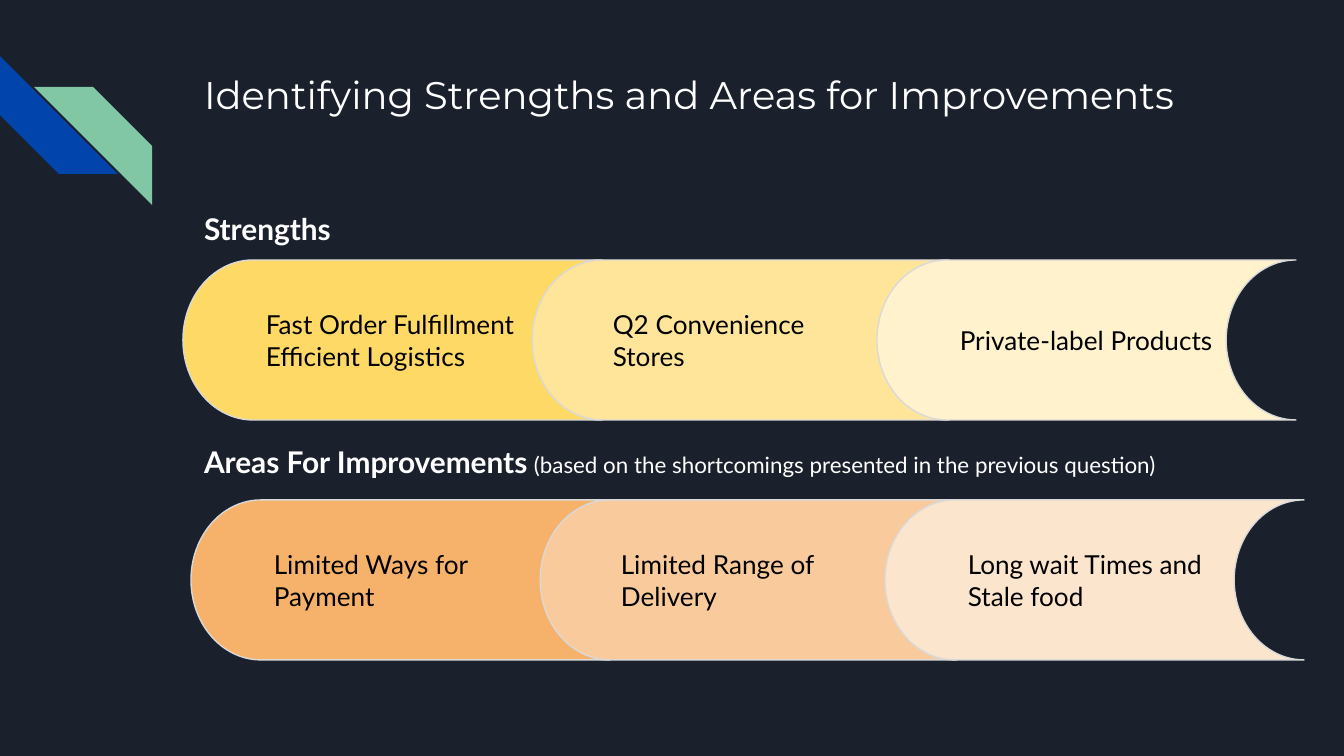
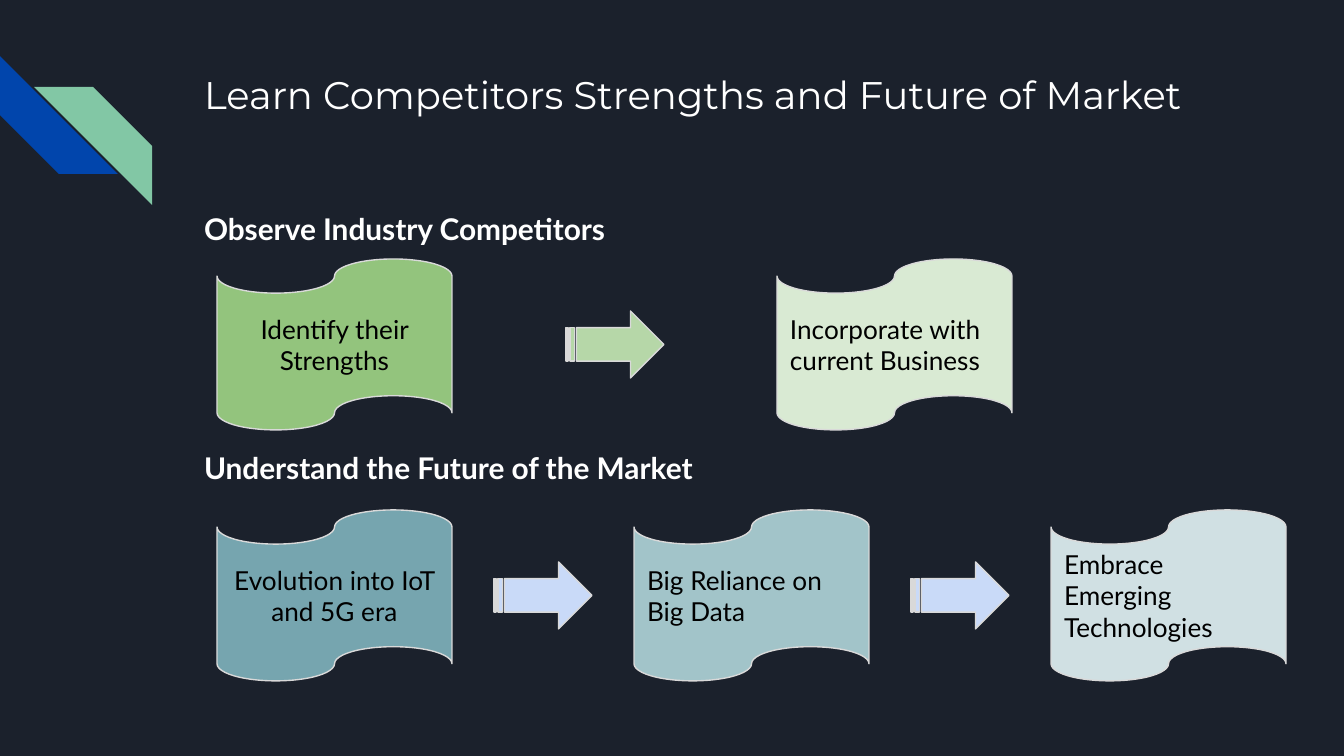
from lxml import etree
from pptx import Presentation
from pptx.dml.color import RGBColor
from pptx.enum.shapes import MSO_SHAPE
from pptx.enum.text import MSO_ANCHOR, MSO_AUTO_SIZE, PP_ALIGN
from pptx.oxml.ns import qn
from pptx.util import Emu, Pt

STRIPE = MSO_SHAPE.DIAGONAL_STRIPE
STORAGE = MSO_SHAPE.FLOWCHART_STORED_DATA
TAPE = MSO_SHAPE.FLOWCHART_PUNCHED_TAPE
ARROW = MSO_SHAPE.STRIPED_RIGHT_ARROW
TOP, MIDDLE = MSO_ANCHOR.TOP, MSO_ANCHOR.MIDDLE
LEFT, CENTER = PP_ALIGN.LEFT, PP_ALIGN.CENTER
NO_FIT = MSO_AUTO_SIZE.NONE

# Colours
NAVY = RGBColor(0x1B, 0x21, 0x2C)
BLUE = RGBColor(0x01, 0x45, 0xAC)
MINT = RGBColor(0x82, 0xC7, 0xA5)
WHITE = RGBColor(0xFF, 0xFF, 0xFF)
BLACK = RGBColor(0x00, 0x00, 0x00)
OUTLINE = RGBColor(0xD9, 0xD9, 0xD9)
YELLOWS = [RGBColor(0xFF, 0xD9, 0x66), RGBColor(0xFF, 0xE5, 0x99), RGBColor(0xFF, 0xF2, 0xCC)]
ORANGES = [RGBColor(0xF6, 0xB2, 0x6B), RGBColor(0xF9, 0xCB, 0x9C), RGBColor(0xFC, 0xE5, 0xCD)]
GREENS = [RGBColor(0x93, 0xC4, 0x7D), RGBColor(0xD9, 0xEA, 0xD3)]
TEALS = [RGBColor(0x76, 0xA5, 0xAF), RGBColor(0xA2, 0xC4, 0xC9), RGBColor(0xD0, 0xE0, 0xE3)]
GREEN_ARROW = RGBColor(0xB6, 0xD7, 0xA8)
BLUE_ARROW = RGBColor(0xC9, 0xDA, 0xF8)

TITLE_FONT, BODY_FONT = "Montserrat", "Lato"

# Sizes in px
SLIDE_W, SLIDE_H = 1344, 756
INSET = 13
STRIPE_SIZE = 118
STORAGE_W, STORAGE_H, STORAGE_STEP = 419, 160, 347
TAPE_X, TAPE_W, TAPE_H = 217, 235, 171
ARROW_W, ARROW_H = 98, 67


def px(n):
    return Emu(round(n * 914400 * 10 / SLIDE_W))


def set_frame(tf, anchor):
    tf.word_wrap = True
    tf.auto_size = NO_FIT
    tf.vertical_anchor = anchor
    tf.margin_left = tf.margin_right = tf.margin_top = tf.margin_bottom = px(INSET)


def add_run(p, text, size, color, font=BODY_FONT, bold=False):
    r = p.add_run()
    r.text = text
    r.font.size = Pt(size)
    r.font.name = font
    r.font.bold = bold
    r.font.color.rgb = color


def add_block(s, kind, x, y, w, h, fill, line=OUTLINE):
    """Preset shape with a flat fill and an optional thin outline."""
    sp = s.shapes.add_shape(kind, px(x), px(y), px(w), px(h))
    sp.shadow.inherit = False
    sp.fill.solid()
    sp.fill.fore_color.rgb = fill
    if line is None:
        sp.line.fill.background()
    else:
        sp.line.color.rgb = line
        sp.line.width = Pt(0.75)
    return sp


def add_label(sp, text, align=LEFT):
    """Centre a label vertically in a block, one paragraph a line."""
    tf = sp.text_frame
    set_frame(tf, MIDDLE)
    for i, line in enumerate(text.split("\n")):
        p = tf.add_paragraph() if i else tf.paragraphs[0]
        p.alignment = align
        add_run(p, line, 14, BLACK)


def place(sp, x, y, w, h):
    sp.left, sp.top, sp.width, sp.height = px(x), px(y), px(w), px(h)
    set_frame(sp.text_frame, TOP)


def add_slide(prs, title):
    """Slide with the corner stripes and the title."""
    s = prs.slides.add_slide(prs.slide_layouts[1])
    for x, y, fill, turn in ((0, 56, BLUE, 270), (34, 87, MINT, 90)):
        sp = add_block(s, STRIPE, x, y, STRIPE_SIZE, STRIPE_SIZE, fill, None)
        sp.rotation = turn
    place(s.shapes.title, 191, 58, 1035, 134)
    p = s.shapes.title.text_frame.paragraphs[0]
    p.alignment = LEFT
    add_run(p, title, 20.6, WHITE, TITLE_FONT)
    return s


def add_headings(s, first, second, gap, note=None):
    """Two section headings in the body, the second one gap points lower."""
    body = s.placeholders[1]
    place(body, 191, 192, 1035, 427)
    tf = body.text_frame
    for p, text, before in ((tf.paragraphs[0], first, 0), (tf.add_paragraph(), second, gap)):
        pPr = p._p.get_or_add_pPr()
        pPr.set("marL", "0")
        pPr.set("indent", "0")
        etree.SubElement(pPr, qn("a:buNone"))
        p.alignment = LEFT
        p.line_spacing = 1.15
        p.space_before = Pt(before)
        add_run(p, text, 16, WHITE, bold=True)
    if note:
        add_run(p, " ", 13, WHITE)
        add_run(p, note, 12, WHITE)


def add_storage_row(s, x, y, labels, fills):
    """Interlocking blocks; the left one lies over the middle one."""
    for i in (1, 0, 2):
        sp = add_block(s, STORAGE, x + i * STORAGE_STEP, y, STORAGE_W, STORAGE_H, fills[i])
        add_label(sp, labels[i])


def add_tape_row(s, y, step, labels, fills, arrow_fill):
    """Tapes at equal steps, with an arrow centred in each gap."""
    for i, (label, fill) in enumerate(zip(labels, fills)):
        x = TAPE_X + i * step
        sp = add_block(s, TAPE, x, y, TAPE_W, TAPE_H, fill)
        add_label(sp, label, LEFT if i else CENTER)
        if i:
            add_block(s, ARROW, x - (step - TAPE_W + ARROW_W) // 2,
                      y + (TAPE_H - ARROW_H) // 2, ARROW_W, ARROW_H, arrow_fill)


def main():
    prs = Presentation()
    prs.slide_width, prs.slide_height = px(SLIDE_W), px(SLIDE_H)
    bg = prs.slide_master.background.fill
    bg.solid()
    bg.fore_color.rgb = NAVY

    # Strengths and improvements
    s = add_slide(prs, "Identifying Strengths and Areas for Improvements")
    add_headings(s, "Strengths", "Areas For Improvements", 103,
                 "(based on the shortcomings presented in the previous question)")
    add_storage_row(s, 183, 260, [
        "Fast Order Fulfillment\nEfficient Logistics",
        "Q2 Convenience Stores",
        "Private-label Products"], YELLOWS)
    add_storage_row(s, 191, 500, [
        "Limited Ways for Payment",
        "Limited Range of Delivery",
        "Long wait Times and Stale food"], ORANGES)

    # Competitors and market
    s = add_slide(prs, "Learn Competitors Strengths and Future of Market")
    add_headings(s, "Observe Industry Competitors", "Understand the Future of the Market", 106)
    add_tape_row(s, 259, 560, [
        "Identify their Strengths",
        "Incorporate with current Business"], GREENS, GREEN_ARROW)
    add_tape_row(s, 510, 417, [
        "Evolution into IoT and 5G era",
        "Big Reliance on Big Data",
        "Embrace Emerging Technologies"], TEALS, BLUE_ARROW)

    prs.save("out.pptx")


if __name__ == "__main__":
    main()
